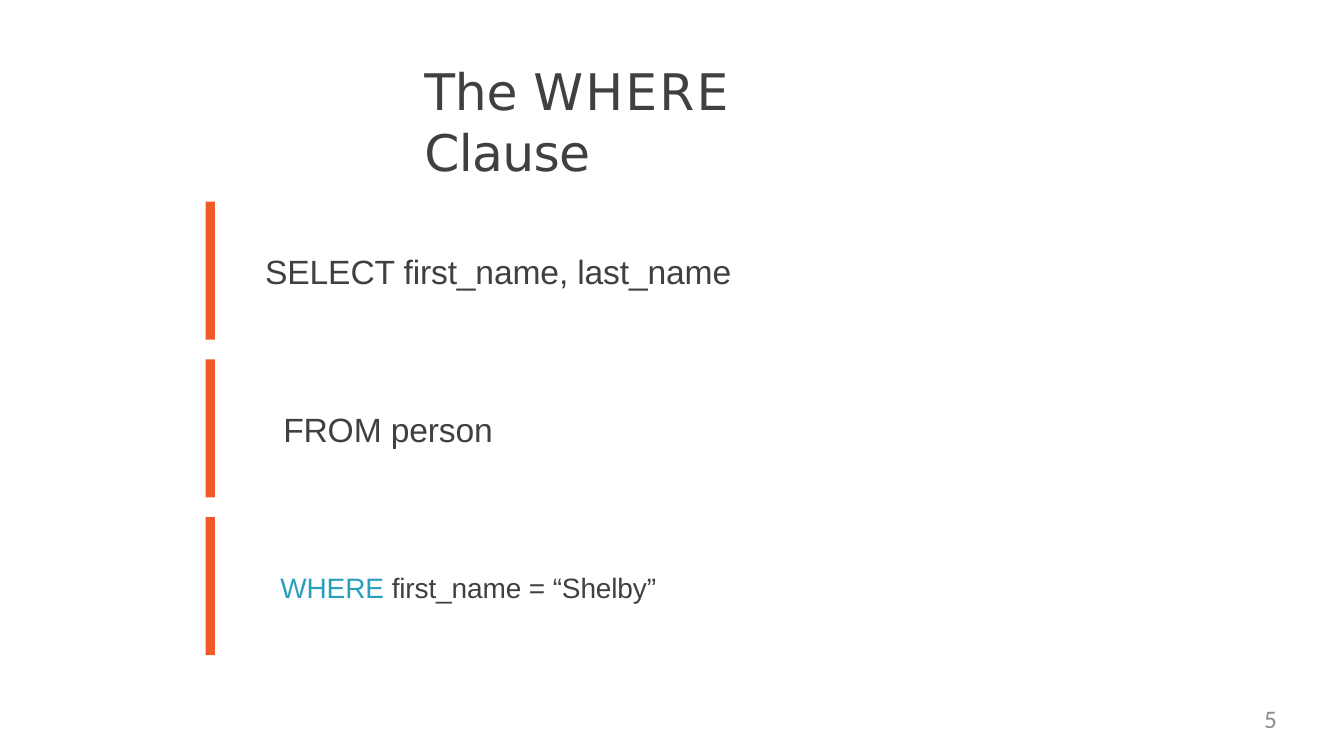
from dataclasses import dataclass

from pptx import Presentation
from pptx import util as u
from pptx.dml.color import RGBColor
from pptx.enum import shapes, text


@dataclass(frozen=True)
class Theme:
    """Colours, fonts and type sizes of the slide."""
    ink: str = "404040"
    bar: str = "EF5A28"
    keyword: str = "2A9FBB"
    muted: str = "8C8C8C"
    title_font: str = "DejaVu Sans"
    body_font: str = "Arial"
    number_font: str = "Calibri"
    title_size: int = 36
    clause_size: int = 24
    condition_size: int = 20
    number_size: int = 18


THEME = Theme()
WIDTH, HEIGHT = 13.33, 7.5


def add_text(page, box, spans, font, size, align=text.PP_ALIGN.LEFT, inset=(0, 0)):
    """Write one paragraph of (words, colour, spacing in points) spans in a box."""
    shape = page.shapes.add_textbox(*map(u.Inches, box))
    frame = shape.text_frame
    frame.word_wrap = True
    frame.vertical_anchor = text.MSO_ANCHOR.TOP
    frame.margin_left, frame.margin_top = map(u.Inches, inset)
    frame.margin_right = frame.margin_bottom = 0
    para = frame.paragraphs[0]
    para.alignment = align
    for words, colour, spacing in spans:
        span = para.add_run()
        span.text = words
        span.font.name = font
        span.font.size = u.Pt(size)
        span.font.color.rgb = RGBColor.from_string(colour)
        span._r.get_or_add_rPr().set("spc", str(round(spacing * 100)))


def add_title(page, box):
    """Place the slide title."""
    spans = [("The ", THEME.ink, -0.2), ("WHERE ", THEME.ink, 1.6), ("Clause", THEME.ink, -0.5)]
    add_text(page, box, spans, THEME.title_font, THEME.title_size, inset=(0.01, 0.03))


def add_clause(page, box, clause):
    """Place an accent bar with one line of the query centred beside it."""
    left, top, width, height = box
    indent, line_width, line_height, size, spans = clause
    bar = page.shapes.add_shape(shapes.MSO_SHAPE.RECTANGLE, *map(u.Inches, box))
    bar.shadow.inherit = False
    bar.fill.solid()
    bar.fill.fore_color.rgb = RGBColor.from_string(THEME.bar)
    bar.line.fill.background()
    line_top = top + (height - line_height) / 2 - 0.01
    add_text(page, (left + indent, line_top, line_width, line_height), spans,
             THEME.body_font, size, inset=(0.01, 0.03))


def add_query(page, box):
    """Spread the clauses of the query evenly down the box."""
    left, top, width, height = box
    clauses = [
        (0.58, 4.75, 0.43, THEME.clause_size, [("SELECT first_name, last_name", THEME.ink, -0.1)]),
        (0.76, 2.2, 0.43, THEME.clause_size, [("FROM person", THEME.ink, -0.1)]),
        (0.73, 3.85, 0.36, THEME.condition_size,
         [("WHERE ", THEME.keyword, -0.1), ("first_name = “Shelby”", THEME.ink, -0.1)]),
    ]
    bar_height = 1.37
    pitch = (height - bar_height) / (len(clauses) - 1)
    for row, clause in enumerate(clauses):
        add_clause(page, (left, top + row * pitch, width, bar_height), clause)


def add_page_number(page, box):
    """Place the slide number at the right of its box."""
    add_text(page, box, [("5", THEME.muted, 0)], THEME.number_font, THEME.number_size,
             align=text.PP_ALIGN.RIGHT)


def main():
    """Build the deck and save it."""
    deck = Presentation()
    deck.slide_width, deck.slide_height = u.Inches(WIDTH), u.Inches(HEIGHT)
    page = deck.slides.add_slide(deck.slide_layouts[6])
    add_query(page, (2.04, 2, 0.09, 4.5))
    add_title(page, (4.2, 0.57, 4.8, 0.63))
    add_page_number(page, (WIDTH * 0.72, HEIGHT * 0.93, WIDTH * 0.23, HEIGHT * 0.05))
    deck.save("out.pptx")


if __name__ == "__main__":
    main()
